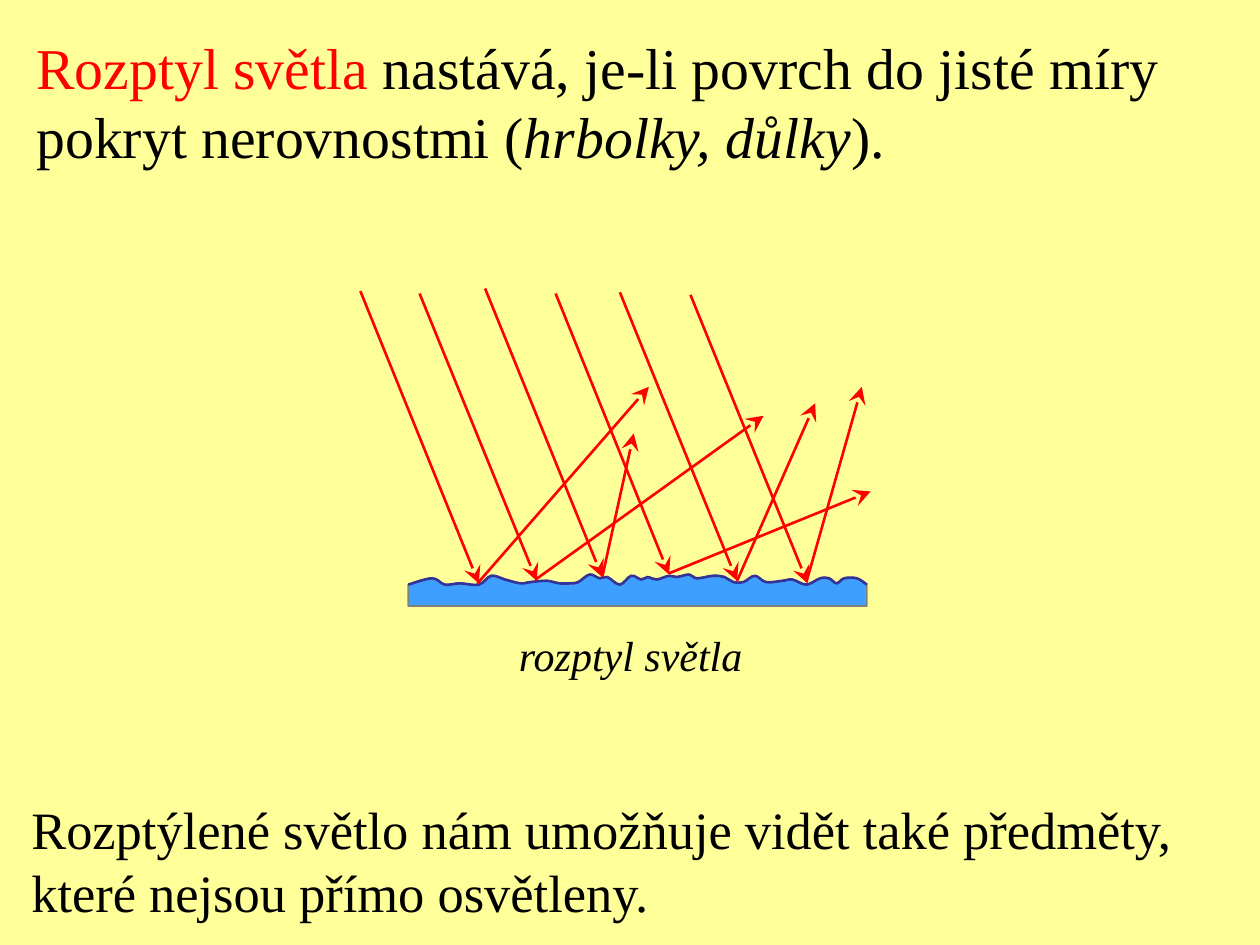
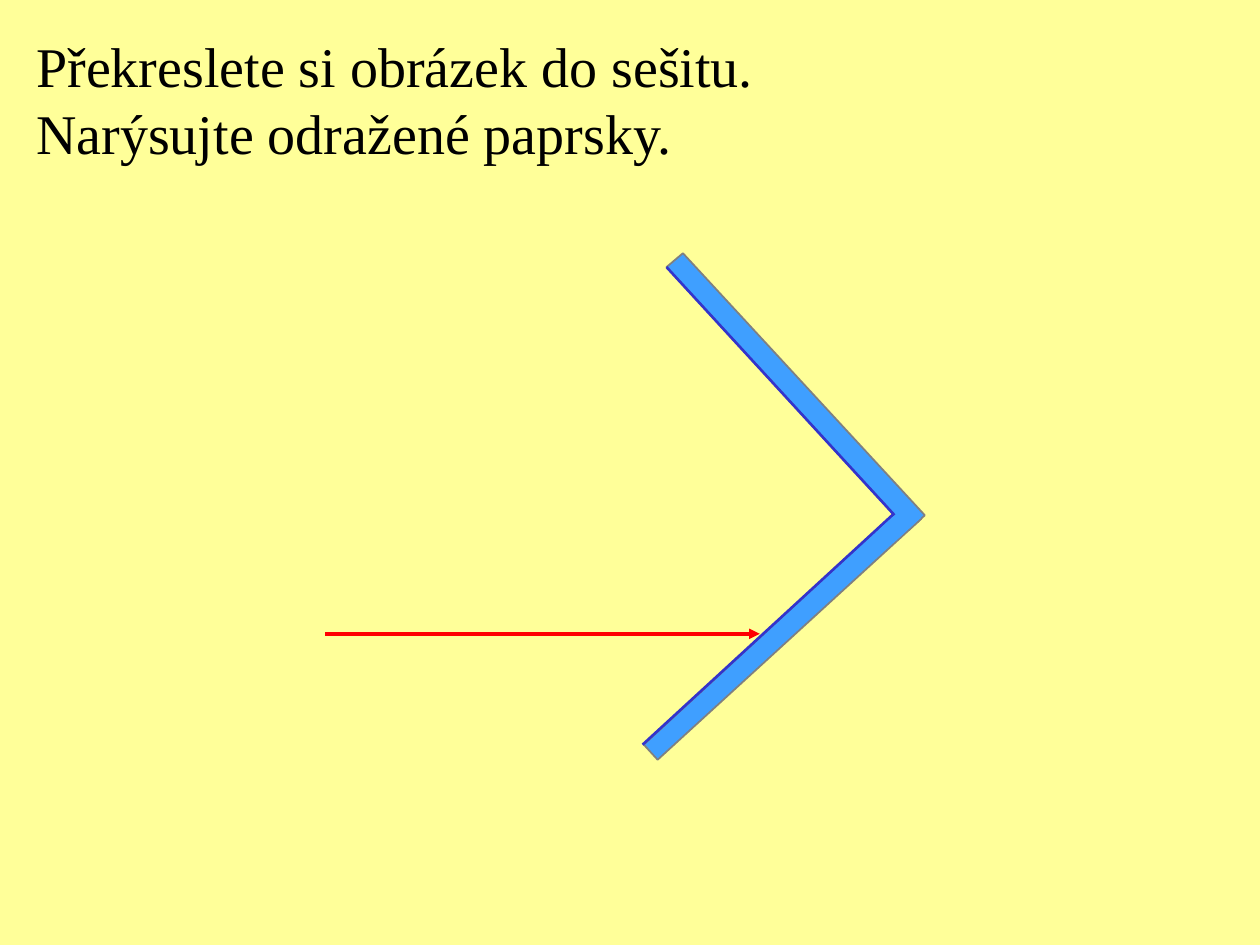
"""Builds two slides on the scattering and reflection of light."""
import lxml.etree
import pptx
import pptx.dml.color
import pptx.enum.shapes
import pptx.enum.text
import pptx.oxml.ns
import pptx.util

Inches = pptx.util.Inches
Pt = pptx.util.Pt
RGBColor = pptx.dml.color.RGBColor
qn = pptx.oxml.ns.qn

PAPER = RGBColor(0xFF, 0xFF, 0x99)
INK = RGBColor(0, 0, 0)
RED = RGBColor(0xFF, 0, 0)
GLASS = RGBColor(0x3F, 0x9F, 0xFF)
GLASS_EDGE = RGBColor(0x80, 0x80, 0x80)
SURFACE_EDGE = RGBColor(0x33, 0x33, 0x99)
MIRROR_EDGE = RGBColor(0x33, 0x33, 0xCC)
FONT = "Times New Roman"
LARGE_STEALTH = {"type": "stealth", "w": "lg", "len": "lg"}
TRIANGLE = {"type": "triangle"}

SCATTERING_TITLE = [
    [("Rozptyl světla", RED, False), (" nastává, je-li povrch do jisté míry", INK, False)],
    [("pokryt nerovnostmi (", INK, False), ("hrbolky, důlky", INK, True), (").", INK, False)],
]
SCATTERING_NOTE = [
    [("Rozptýlené světlo nám umožňuje vidět také předměty,", INK, False)],
    [("které nejsou přímo osvětleny.", INK, False)],
]
SCATTERING_CAPTION = [[("rozptyl světla", INK, True)]]
TASK_TITLE = [
    [("Překreslete si obrázek do sešitu.", INK, False)],
    [("Narýsujte odražené paprsky.", INK, False)],
]

INCOMING_RAYS = [
    ((2.86, 2.31), (3.8, 4.63)), ((3.33, 2.33), (4.26, 4.61)),
    ((3.85, 2.29), (4.78, 4.58)), ((4.41, 2.33), (5.31, 4.56)),
    ((4.92, 2.32), (5.85, 4.61)),
]
LAST_INCOMING_RAY = ((5.48, 2.34), (6.41, 4.63))
SCATTERED_RAYS = [
    ((3.79, 4.63), (5.15, 3.07)), ((4.25, 4.6), (6.06, 3.3)),
    ((4.78, 4.58), (5.03, 3.44)), ((5.31, 4.55), (6.91, 3.9)),
    ((5.85, 4.61), (6.47, 3.2)), ((6.4, 4.62), (6.84, 3.07)),
]
ROUGH_CREST = [
    (3.24, 4.64), (3.43, 4.59), (3.53, 4.64), (3.65, 4.63), (3.8, 4.64),
    (3.9, 4.57), (4.01, 4.6), (4.13, 4.63), (4.21, 4.62), (4.34, 4.61),
    (4.44, 4.63), (4.53, 4.63), (4.59, 4.62), (4.68, 4.56), (4.76, 4.59),
    (4.82, 4.58), (4.92, 4.64), (5.01, 4.57), (5.09, 4.6), (5.14, 4.58),
    (5.21, 4.6), (5.31, 4.57), (5.37, 4.58), (5.47, 4.56), (5.53, 4.59),
    (5.66, 4.57), (5.75, 4.58), (5.82, 4.62), (5.9, 4.62), (5.99, 4.57),
    (6.08, 4.62), (6.21, 4.61), (6.29, 4.6), (6.4, 4.64), (6.51, 4.59),
    (6.58, 4.59), (6.64, 4.63), (6.7, 4.59), (6.8, 4.59), (6.88, 4.64),
]
SURFACE_BASE = [(6.88, 4.81), (3.24, 4.81)]

MIRRORS = [
    ([(7.31, 4.12), (5.22, 6.03), (5.11, 5.91), (7.19, 3.99)], ((5.1, 5.91), (7.2, 3.98))),
    ([(5.42, 2.01), (7.34, 4.09), (7.21, 4.21), (5.29, 2.12)], ((7.1, 4.09), (5.29, 2.12))),
]
MIRROR_CORNER = [(7.31, 4.11), (7.09, 4.31), (6.98, 4.2), (7.2, 4)]
TASK_RAY = ((2.58, 5.03), (6.03, 5.03))


def add_slide(presentation):
    """Add a blank slide on the shared paper colour."""
    slide = presentation.slides.add_slide(presentation.slide_layouts[6])
    slide.background.fill.solid()
    slide.background.fill.fore_color.rgb = PAPER
    return slide


def add_text(slide, box, size, lines):
    """Add a text box with one paragraph for each line."""
    frame = slide.shapes.add_textbox(*map(Inches, box)).text_frame
    frame.word_wrap = False
    frame.auto_size = pptx.enum.text.MSO_AUTO_SIZE.SHAPE_TO_FIT_TEXT
    for index, line in enumerate(lines):
        paragraph = frame.add_paragraph() if index else frame.paragraphs[0]
        for text, color, italic in line:
            run = paragraph.add_run()
            run.text = text
            run.font.name = FONT
            run.font.size = Pt(size)
            run.font.color.rgb = color
            run.font.italic = italic


def add_line(slide, ends, color, width=1.5, arrow=None):
    """Add a straight line, with an arrowhead at its end if one is given."""
    start, end = ends
    connector = slide.shapes.add_connector(
        pptx.enum.shapes.MSO_CONNECTOR.STRAIGHT, *map(Inches, (*start, *end)))
    connector.line.color.rgb = color
    connector.line.width = Pt(width)
    properties = connector._element.spPr
    if arrow:
        lxml.etree.SubElement(properties.find(qn("a:ln")), qn("a:tailEnd"), arrow)
    lxml.etree.SubElement(properties, qn("a:effectLst"))


def add_outline(slide, points, fill=None, edge=None, width=1, close=True):
    """Add a freeform through points given in inches."""
    first, *rest = [(Inches(x), Inches(y)) for x, y in points]
    builder = slide.shapes.build_freeform(*first)
    builder.add_line_segments(rest, close=close)
    shape = builder.convert_to_shape()
    shape.shadow.inherit = False
    if fill is None:
        shape.fill.background()
    else:
        shape.fill.solid()
        shape.fill.fore_color.rgb = fill
    if edge is None:
        shape.line.fill.background()
    else:
        shape.line.color.rgb = edge
        shape.line.width = Pt(width)
    return shape


def round_segments(shape, count):
    """Turn the first straight segments of a freeform into one smooth curve."""
    outline = next(shape._element.iter(qn("a:path")))
    segments = list(outline)[:count + 1]
    points = [(int(s[0].get("x")), int(s[0].get("y"))) for s in segments]
    padded = [points[0], *points, points[-1]]
    for index, segment in enumerate(segments[1:]):
        before, start, end, after = padded[index:index + 4]
        leaving = [b + (c - a) / 6 for a, b, c in zip(before, start, end)]
        arriving = [c - (d - b) / 6 for b, c, d in zip(start, end, after)]
        curve = lxml.etree.Element(qn("a:cubicBezTo"))
        for x, y in (leaving, arriving, end):
            lxml.etree.SubElement(curve, qn("a:pt"), x=str(round(x)), y=str(round(y)))
        outline.replace(segment, curve)


def build_scattering_slide(presentation):
    """Show rays scattered by a rough surface."""
    slide = add_slide(presentation)
    add_text(slide, (0.19, 0.2, 9.11, 1.2), 33, SCATTERING_TITLE)
    for ray in INCOMING_RAYS:
        add_line(slide, ray, RED, arrow=LARGE_STEALTH)
    surface = add_outline(slide, ROUGH_CREST + SURFACE_BASE, GLASS, GLASS_EDGE)
    crest = add_outline(slide, ROUGH_CREST, edge=SURFACE_EDGE, width=1.5, close=False)
    for shape in (surface, crest):
        round_segments(shape, len(ROUGH_CREST) - 1)
    for ray in [LAST_INCOMING_RAY, *SCATTERED_RAYS]:
        add_line(slide, ray, RED, arrow=LARGE_STEALTH)
    add_text(slide, (0.15, 6.28, 9.28, 1.1), 30, SCATTERING_NOTE)
    add_text(slide, (4.02, 4.95, 1.98, 0.5), 24, SCATTERING_CAPTION)


def build_task_slide(presentation):
    """Show a ray falling on two mirrors set at a right angle."""
    slide = add_slide(presentation)
    add_text(slide, (0.19, 0.2, 5.93, 1.17), 32, TASK_TITLE)
    for body, reflecting_side in MIRRORS:
        add_outline(slide, body, GLASS, GLASS_EDGE)
        add_line(slide, reflecting_side, MIRROR_EDGE)
    add_outline(slide, MIRROR_CORNER, GLASS)
    add_line(slide, TASK_RAY, RED, width=2, arrow=TRIANGLE)


def main():
    presentation = pptx.Presentation()
    presentation.slide_width = Inches(10)
    presentation.slide_height = Inches(7.5)
    build_scattering_slide(presentation)
    build_task_slide(presentation)
    presentation.save("out.pptx")


if __name__ == "__main__":
    main()
